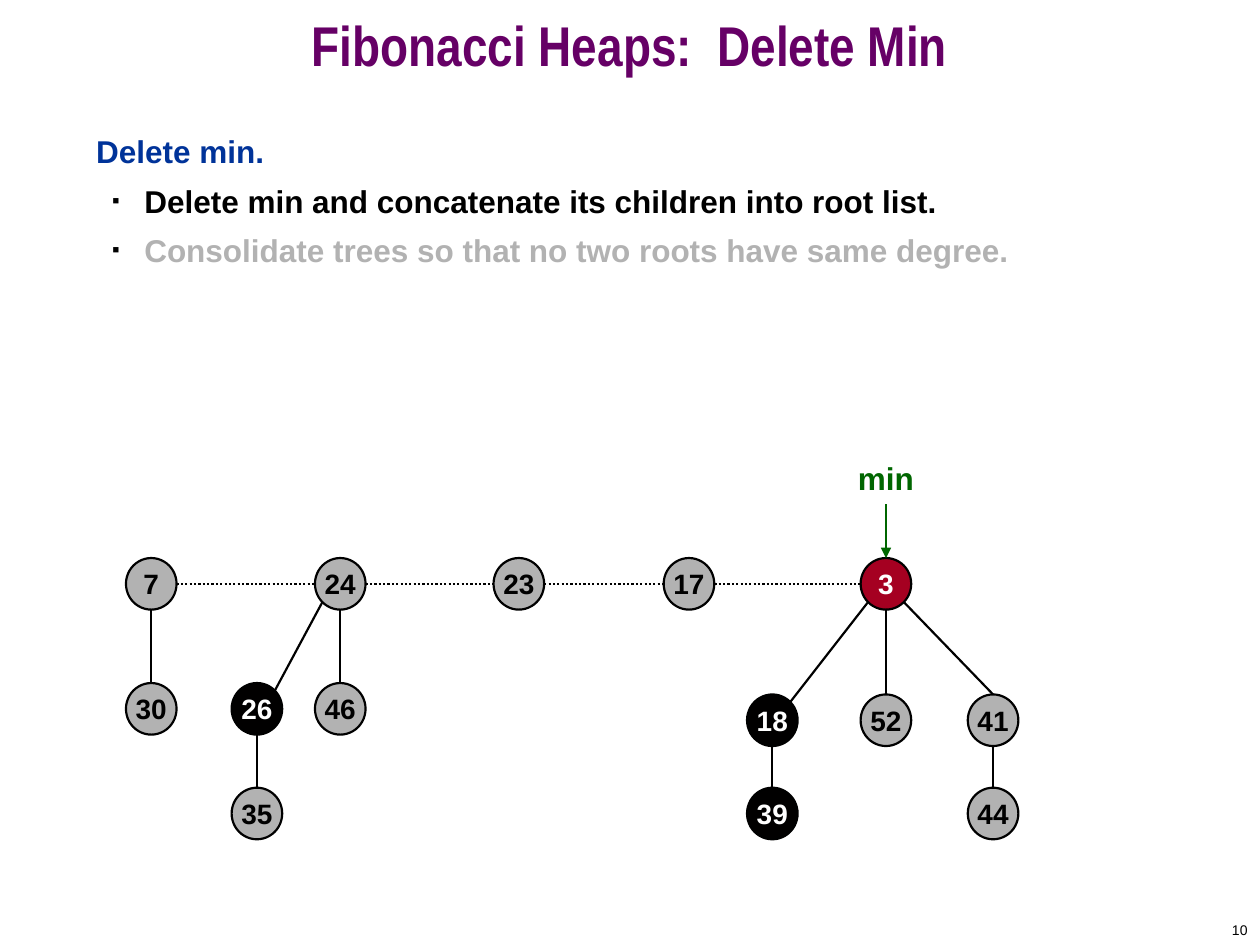
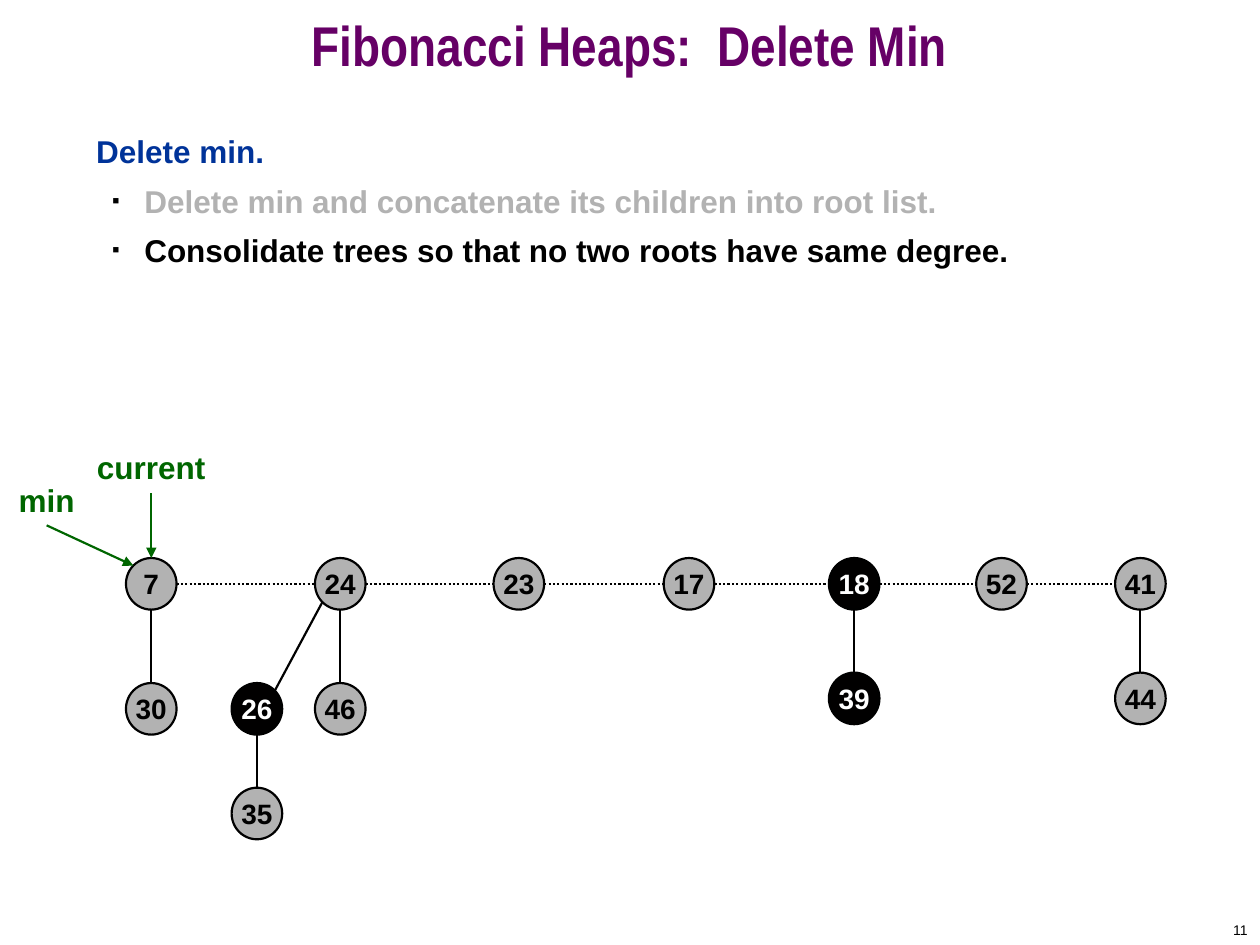
from dataclasses import dataclass
from itertools import pairwise

from lxml.etree import SubElement
from pptx import Presentation
from pptx.dml.color import RGBColor
from pptx.enum.dml import MSO_LINE
from pptx.enum.shapes import MSO_CONNECTOR, MSO_SHAPE
from pptx.enum.text import MSO_ANCHOR, PP_ALIGN
from pptx.oxml.ns import qn
from pptx.util import Cm, Pt

BLACK, WHITE, GREY, MARKED = "000000", "FFFFFF", "B2B2B2", "010000"
RED, GREEN, BLUE, PURPLE = "A50021", "006600", "003399", "660066"
WIDE, HIGH = 1.02, 1.04
SLANT = 0.5 ** 0.5
ROOT, CHILD, GRAND = 11.77, 14.29, 16.4
STEPS = (
    "Delete min and concatenate its children into root list.",
    "Consolidate trees so that no two roots have same degree.",
)


@dataclass(frozen=True)
class Node:
    """A heap node, placed by its centre in centimetres."""
    key: int
    x: float
    y: float
    above: int | None = None
    fill: str = GREY

    def rim(self, right: int, down: int) -> tuple[float, float]:
        """Return the rim point in one of eight directions."""
        part = SLANT if right and down else 1
        return self.x + right * part * WIDE / 2, self.y + down * part * HIGH / 2


@dataclass(frozen=True)
class Label:
    """A pointer name with an arrow to a root."""
    text: str
    x: float
    y: float
    goal: int


@dataclass(frozen=True)
class Page:
    """The parts that differ between slides."""
    number: int
    step: int
    nodes: tuple[Node, ...]
    labels: tuple[Label, ...]


BASE = (
    Node(7, 3.05, ROOT),
    Node(24, 6.86, ROOT),
    Node(23, 10.46, ROOT),
    Node(17, 13.89, ROOT),
    Node(30, 3.05, CHILD, 7),
    Node(26, 5.18, CHILD, 24, MARKED),
    Node(46, 6.86, CHILD, 24),
    Node(35, 5.18, GRAND, 26),
)
BEFORE = BASE + (
    Node(3, 17.86, ROOT, fill=RED),
    Node(18, 15.57, 14.52, 3, MARKED),
    Node(52, 17.86, 14.52, 3),
    Node(41, 20.02, 14.52, 3),
    Node(39, 15.57, GRAND, 18, MARKED),
    Node(44, 20.02, GRAND, 41),
)
AFTER = BASE + (
    Node(18, 17.22, ROOT, fill=MARKED),
    Node(52, 20.19, ROOT),
    Node(41, 22.99, ROOT),
    Node(39, 17.22, 14.08, 18, MARKED),
    Node(44, 22.99, 14.08, 41),
)
PAGES = (
    Page(10, 0, BEFORE, (Label("min", 17.86, 9.64, 3),)),
    Page(11, 1, AFTER, (Label("current", 3.05, 9.41, 7), Label("min", 0.94, 10.07, 7))),
)


def hue(code: str) -> RGBColor:
    """Turn a hex string into a colour."""
    return RGBColor.from_string(code)


def style(para, size: float, code: str, bold: bool = True, face: str = "Arial") -> None:
    """Format the runs of a paragraph."""
    for run in para.runs:
        run.font.name, run.font.size, run.font.bold = face, Pt(size), bold
        run.font.color.rgb = hue(code)


def add_box(slide, x: float, y: float, wide: float, high: float, text: str,
            anchor: MSO_ANCHOR = MSO_ANCHOR.MIDDLE):
    """Add a wrapping text box and return its frame."""
    frame = slide.shapes.add_textbox(Cm(x), Cm(y), Cm(wide), Cm(high)).text_frame
    frame.word_wrap, frame.vertical_anchor = True, anchor
    frame.text = text
    return frame


def add_disc(slide, x: float, y: float, text: str, size: float, ink: str,
             fill: str | None = None) -> None:
    """Add a centred ellipse, bare if it has no fill."""
    disc = slide.shapes.add_shape(MSO_SHAPE.OVAL, Cm(x - WIDE / 2), Cm(y - HIGH / 2),
                                  Cm(WIDE), Cm(HIGH))
    disc.shadow.inherit = False
    if fill:
        disc.fill.solid()
        disc.fill.fore_color.rgb = hue(fill)
        disc.line.color.rgb, disc.line.width = hue(BLACK), Pt(1.25)
    else:
        disc.fill.background()
        disc.line.fill.background()
    frame = disc.text_frame
    frame.word_wrap, frame.vertical_anchor = False, MSO_ANCHOR.MIDDLE
    frame.text = text
    frame.paragraphs[0].alignment = PP_ALIGN.CENTER
    style(frame.paragraphs[0], size, ink)


def add_line(slide, start: tuple[float, float], end: tuple[float, float],
             code: str = BLACK, dots: bool = False, head: bool = False) -> None:
    """Join two points, with dots or an arrowhead at the start if asked."""
    line = slide.shapes.add_connector(MSO_CONNECTOR.STRAIGHT, *map(Cm, start + end))
    line.line.color.rgb, line.line.width = hue(code), Pt(1.25)
    if dots:
        line.line.dash_style = MSO_LINE.ROUND_DOT
    shape = line.element.spPr
    if head:
        SubElement(shape.find(qn("a:ln")), qn("a:headEnd"), type="triangle")
    SubElement(shape, qn("a:effectLst"))


def add_mark(para) -> None:
    """Give a paragraph a small square bullet."""
    props = para._p.get_or_add_pPr()
    props.set("marL", str(Cm(0.97)))
    props.set("indent", str(Cm(-0.64)))
    tint = SubElement(props, qn("a:buClr"))
    SubElement(tint, qn("a:srgbClr"), val=BLACK)
    SubElement(props, qn("a:buSzPct"), val="35000")
    SubElement(props, qn("a:buFont"), typeface="Arial")
    SubElement(props, qn("a:buChar"), char="■")


def add_text(slide, page: Page) -> None:
    """Write the page number, title and steps."""
    para = add_box(slide, 20.12, 18.42, 5.28, 0.64, str(page.number)).paragraphs[0]
    para.alignment = PP_ALIGN.RIGHT
    style(para, 8, BLACK, bold=False)

    para = add_box(slide, 0, 0, 25.4, 2.12, "Fibonacci Heaps:  Delete Min").paragraphs[0]
    para.alignment, para.line_spacing = PP_ALIGN.CENTER, 0.7
    style(para, 32, PURPLE, face="Arial Narrow")

    body = add_box(slide, 1.69, 2.54, 21.8, 15.03, "Delete min.", MSO_ANCHOR.TOP)
    body.paragraphs[0].space_before = Pt(4.5)
    style(body.paragraphs[0], 18, BLUE)
    for rank, step in enumerate(STEPS):
        para = body.add_paragraph()
        para.text = step
        para.level, para.line_spacing, para.space_before = 1, 1.1, Pt(4.5)
        add_mark(para)
        style(para, 18, BLACK if rank == page.step else GREY)


def add_heap(slide, page: Page) -> None:
    """Draw the trees, the root list and the pointers."""
    nodes = {node.key: node for node in page.nodes}
    roots = sorted((node for node in page.nodes if node.above is None),
                   key=lambda node: node.x)
    for left, right in pairwise(roots):
        add_line(slide, left.rim(1, 0), right.rim(-1, 0), dots=True)
    for node in page.nodes:
        if node.above is not None:
            top = nodes[node.above]
            side = (node.x > top.x) - (node.x < top.x)
            add_line(slide, node.rim(1 if side < 0 else 0, -1), top.rim(side, 1))
        ink = BLACK if node.fill == GREY else WHITE
        add_disc(slide, node.x, node.y, str(node.key), 16, ink, node.fill)
    for label in page.labels:
        goal = nodes[label.goal]
        side = -1 if label.x < goal.x else 0
        add_line(slide, goal.rim(side, -1), (label.x, label.y + HIGH / 2), GREEN, head=True)
        add_disc(slide, label.x, label.y, label.text, 18, GREEN)


def main() -> None:
    """Build and save the slides."""
    deck = Presentation()
    deck.slide_width, deck.slide_height = Cm(25.4), Cm(19.05)
    for page in PAGES:
        slide = deck.slides.add_slide(deck.slide_layouts[6])
        add_text(slide, page)
        add_heap(slide, page)
    deck.save("out.pptx")


if __name__ == "__main__":
    main()
